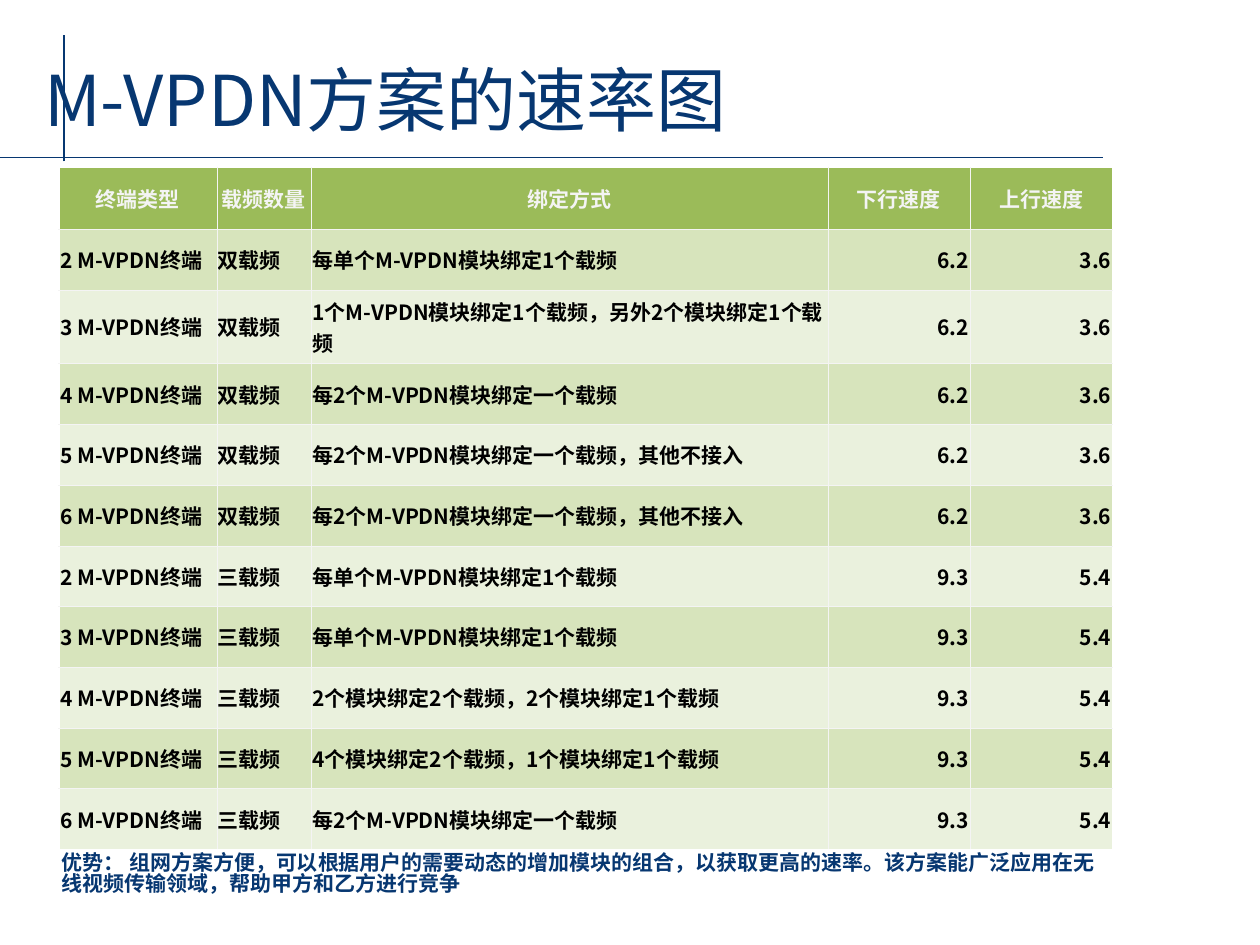
from lxml import etree
from pptx import Presentation
from pptx.dml.color import RGBColor
from pptx.enum.shapes import MSO_CONNECTOR
from pptx.enum.text import MSO_ANCHOR, MSO_AUTO_SIZE, PP_ALIGN
from pptx.oxml.ns import qn
from pptx.util import Inches, Pt

STRAIGHT = MSO_CONNECTOR.STRAIGHT
TOP, MIDDLE = MSO_ANCHOR.TOP, MSO_ANCHOR.MIDDLE
NO_AUTOFIT = MSO_AUTO_SIZE.NONE
LEFT, CENTER, RIGHT = PP_ALIGN.LEFT, PP_ALIGN.CENTER, PP_ALIGN.RIGHT

CJK_FONT = "Noto Sans CJK SC"
NAVY, PALE, BLACK = "073771", "F4F4F4", "000000"
HEADER_FILL, BAND_FILLS = "9BBB59", ("D7E4BC", "EAF1DD")
THIN, THICK = 0.23, 0.75

HEADERS = ("终端类型", "载频数量", "绑定方式", "下行速度", "上行速度")
COLUMN_WIDTHS = (1.25, 0.75, 4.1, 1.13, 1.13)
ALIGNMENTS = (LEFT, LEFT, LEFT, RIGHT, RIGHT)
TABLE_HEIGHT, HEADER_HEIGHT = 5.31, 0.49
CARRIER_GROUPS = (
    ("双载频", "6.2", "3.6", (
        "每单个M-VPDN模块绑定1个载频",
        "1个M-VPDN模块绑定1个载频，另外2个模块绑定1个载频",
        "每2个M-VPDN模块绑定一个载频",
        "每2个M-VPDN模块绑定一个载频，其他不接入",
        "每2个M-VPDN模块绑定一个载频，其他不接入")),
    ("三载频", "9.3", "5.4", (
        "每单个M-VPDN模块绑定1个载频",
        "每单个M-VPDN模块绑定1个载频",
        "2个模块绑定2个载频，2个模块绑定1个载频",
        "4个模块绑定2个载频，1个模块绑定1个载频",
        "每2个M-VPDN模块绑定一个载频")),
)
ADVANTAGE = ("优势： 组网方案方便，可以根据用户的需要动态的增加模块的组合，以获取更高的速率。"
             "该方案能广泛应用在无线视频传输领域，帮助甲方和乙方进行竞争")


def color(value):
    """Turn a hex string into a colour."""
    return RGBColor.from_string(value)


def write_text(frame, text, size=12, font=CJK_FONT, fill=NAVY, bold=False,
               align=LEFT, spacing=1.0):
    """Write one formatted paragraph into a text frame."""
    paragraph = frame.paragraphs[0]
    paragraph.alignment = align
    paragraph.line_spacing = spacing
    run = paragraph.add_run()
    run.text = text
    run.font.size = Pt(size)
    run.font.bold = bold
    run.font.color.rgb = color(fill)
    run.font.name = font
    east_asian = etree.SubElement(run.font._element, qn("a:ea"))
    east_asian.set("typeface", CJK_FONT)


def place(shape, left, top, width, height):
    """Set the position and size of a shape."""
    shape.left, shape.top = Inches(left), Inches(top)
    shape.width, shape.height = Inches(width), Inches(height)


def add_rule(slide, x1, y1, x2, y2):
    """Add a thin navy line without a shadow."""
    line = slide.shapes.add_connector(
        STRAIGHT, Inches(x1), Inches(y1), Inches(x2), Inches(y2))
    line.line.color.rgb = color(NAVY)
    line.line.width = Pt(1)
    etree.SubElement(line.element.spPr, qn("a:effectLst"))


def add_border(cell, side, width):
    """Draw one side of a cell."""
    properties = cell._tc.get_or_add_tcPr()
    border = etree.SubElement(properties, qn(f"a:ln{side}"), w=str(Pt(width)))
    fill = etree.SubElement(border, qn("a:solidFill"))
    etree.SubElement(fill, qn("a:srgbClr"), val=PALE)


def format_cell(cell, text, row, column, last_row):
    """Fill, border and write one table cell."""
    sides = (
        ("L", column > 0, THIN),
        ("R", column < len(HEADERS) - 1, THIN),
        ("T", row > 0, THICK if row == 1 else THIN),
        ("B", row < last_row, THICK if row == 0 else THIN),
    )
    for side, shown, width in sides:
        if shown:
            add_border(cell, side, width)
    header = row == 0
    cell.fill.solid()
    cell.fill.fore_color.rgb = color(HEADER_FILL if header else BAND_FILLS[(row - 1) % 2])
    cell.vertical_anchor = MIDDLE
    cell.margin_left = cell.margin_right = Inches(0.01)
    cell.margin_top = cell.margin_bottom = Inches(0.05)
    write_text(cell.text_frame, text, bold=True, fill=PALE if header else BLACK,
               align=CENTER if header else ALIGNMENTS[column])


def add_speed_table(slide):
    """Add the table of link speeds and return its frame."""
    rows = [HEADERS] + [
        (f"{count} M-VPDN终端", carrier, binding, down, up)
        for carrier, down, up, bindings in CARRIER_GROUPS
        for count, binding in enumerate(bindings, start=2)
    ]
    last_row = len(rows) - 1
    frame = slide.shapes.add_table(
        len(rows), len(HEADERS), Inches(0.47), Inches(1.33),
        Inches(sum(COLUMN_WIDTHS)), Inches(TABLE_HEIGHT))
    table = frame.table
    for column, width in zip(table.columns, COLUMN_WIDTHS):
        column.width = Inches(width)
    for index, values in enumerate(rows):
        body_height = (TABLE_HEIGHT - HEADER_HEIGHT) / last_row
        table.rows[index].height = Inches(body_height if index else HEADER_HEIGHT)
        for column, text in enumerate(values):
            format_cell(table.cell(index, column), text, index, column, last_row)
    return frame


def format_title(slide):
    """Place and write the slide title."""
    title = slide.shapes.title
    place(title, 0.25, 0.47, 5.84, 0.77)
    frame = title.text_frame
    frame.auto_size = NO_AUTOFIT
    frame.word_wrap = False
    frame.vertical_anchor = TOP
    write_text(frame, "M-VPDN方案的速率图", size=40, spacing=0.9)
    return title


def add_advantage(slide):
    """Add the closing remark below the table."""
    box = slide.shapes.add_textbox(Inches(0.39), Inches(6.72), Inches(8.44), Inches(0.5))
    box.text_frame.word_wrap = True
    write_text(box.text_frame, ADVANTAGE, font="Arial", bold=True, spacing=0.86)


def main():
    """Build and save the slide."""
    presentation = Presentation()
    presentation.slide_width, presentation.slide_height = Inches(10), Inches(7.5)
    slide = presentation.slides.add_slide(presentation.slide_layouts[5])
    add_rule(slide, 0, 1.25, 8.75, 1.25)
    add_rule(slide, 0.51, 1.28, 0.51, 0.28)
    table_frame = add_speed_table(slide)
    title = format_title(slide)
    table_frame.element.addnext(title.element)
    add_advantage(slide)
    presentation.save("out.pptx")


if __name__ == "__main__":
    main()
